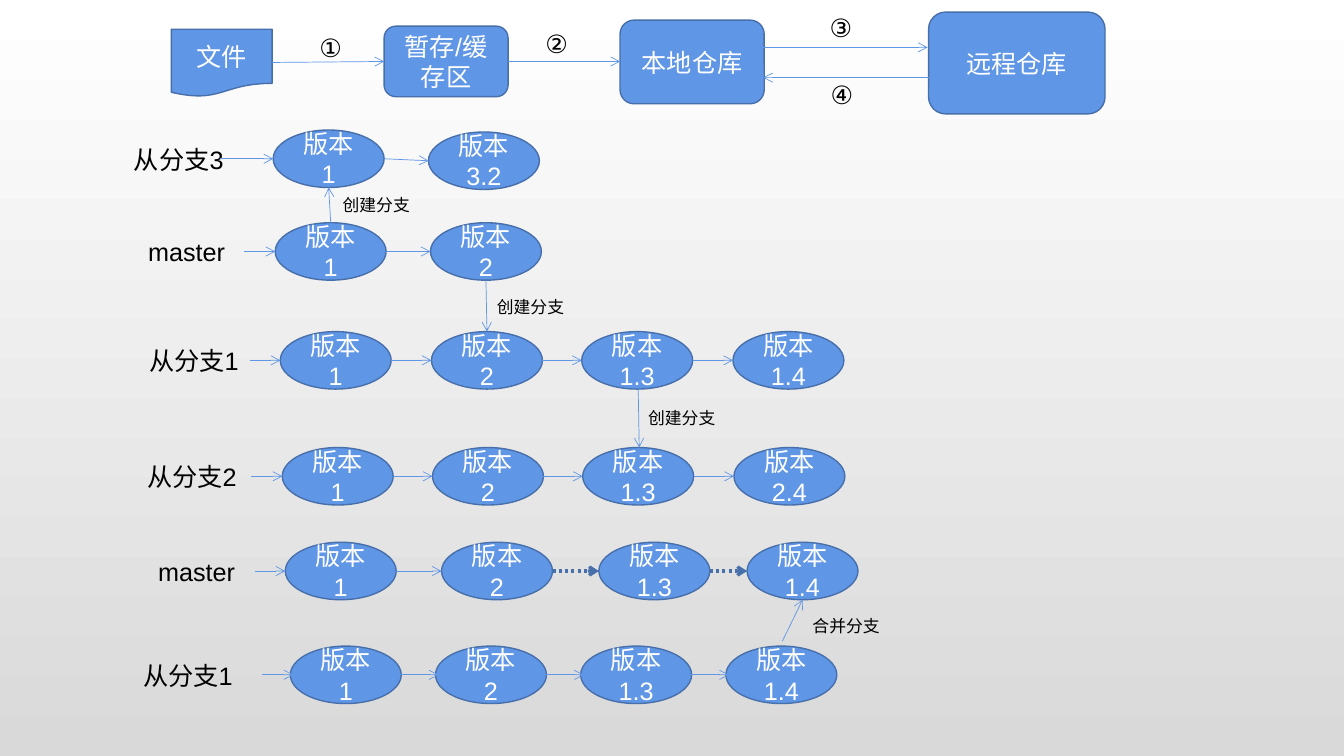
import dataclasses

import lxml.etree
import pptx
import pptx.dml.color
import pptx.enum.dml
import pptx.enum.shapes
import pptx.enum.text
import pptx.oxml.ns
import pptx.util

Inches = pptx.util.Inches
Pt = pptx.util.Pt
Preset = pptx.enum.shapes.MSO_SHAPE
RGBColor = pptx.dml.color.RGBColor

BLUE = RGBColor(0x60, 0x96, 0xE6)
DARK_BLUE = RGBColor(0x47, 0x6F, 0xAA)
WHITE = RGBColor(0xFF, 0xFF, 0xFF)
GREY = RGBColor(0xD9, 0xD9, 0xD9)
BLACK = RGBColor(0, 0, 0)

FONT = "Arial"
VERSION_WIDTH = 1.1
VERSION_HEIGHT = 0.57


@dataclasses.dataclass
class Branch:
    """A labelled chain of versions; step_down lowers each next version."""
    name: str
    label_left: float
    label_width: float
    arrow_start: float
    top: float
    lefts: list
    versions: list
    step_down: float = 0
    overlap: float = 0
    dotted_from: int = 9


BRANCHES = [
    Branch("从分支3", 1.23, 1.33, 2.18, 1.29, [2.71, 4.25], ["1", "3.2"], step_down=0.02),
    Branch("master", 1.37, 1.05, 2.42, 2.21, [2.73, 4.27], ["1", "2"]),
    Branch("从分支1", 1.38, 1.32, 2.48, 3.29, [2.78, 4.28, 5.77, 7.27],
           ["1", "2", "1.3", "1.4"]),
    Branch("从分支2", 1.36, 1.32, 2.49, 4.44, [2.8, 4.29, 5.78, 7.28],
           ["1", "2", "1.3", "2.4"]),
    Branch("master", 1.47, 1.05, 2.53, 5.38, [2.83, 4.38, 5.94, 7.41],
           ["1", "2", "1.3", "1.4"], dotted_from=2),
    Branch("从分支1", 1.32, 1.32, 2.6, 6.41, [2.88, 4.32, 5.76, 7.2],
           ["1", "2", "1.3", "1.4"], overlap=0.03),
]

STORES = [
    (Preset.FLOWCHART_DOCUMENT, 1.7, 0.29, 1, 0.67, "文件"),
    (Preset.ROUNDED_RECTANGLE, 3.81, 0.26, 1.23, 0.7, "暂存/缓存区"),
    (Preset.ROUNDED_RECTANGLE, 6.15, 0.2, 1.43, 0.83, "本地仓库"),
    (Preset.ROUNDED_RECTANGLE, 9.21, 0.12, 1.75, 1.01, "远程仓库"),
]

STORE_ARROWS = [
    (2.7, 0.62, 3.81, 0.61),
    (5.04, 0.61, 6.15, 0.61),
    (7.53, 0.47, 9.2, 0.47),
    (9.21, 0.77, 7.57, 0.77),
]

STEP_NUMBERS = [("①", 3.07, 0.27), ("②", 5.31, 0.23), ("③", 8.13, 0.07), ("④", 8.14, 0.74)]

BRANCH_ARROWS = [
    (3.28, 2.21, 3.26, 1.86),
    (4.82, 2.78, 4.83, 3.29),
    (6.33, 3.86, 6.34, 4.44),
    (7.76, 6.36, 7.96, 5.95),
]

BRANCH_NOTES = [
    ("创建分支", 3.3, 1.88),
    ("创建分支", 4.83, 2.89),
    ("创建分支", 6.33, 4),
    ("合并分支", 7.96, 6.06),
]


def write_text(frame, text, size, color):
    frame.word_wrap = True
    span = frame.paragraphs[0].add_run()
    span.text = text
    span.font.name = FONT
    span.font.size = Pt(size)
    span.font.color.rgb = color


def add_label(page, text, left, top, width, height=0.4, size=18):
    box = page.shapes.add_textbox(Inches(left), Inches(top), Inches(width), Inches(height))
    write_text(box.text_frame, text, size, BLACK)
    box.text_frame.auto_size = pptx.enum.text.MSO_AUTO_SIZE.SHAPE_TO_FIT_TEXT


def add_node(page, preset, left, top, width, height, text):
    node = page.shapes.add_shape(preset, Inches(left), Inches(top), Inches(width), Inches(height))
    node.shadow.inherit = False
    node.fill.solid()
    node.fill.fore_color.rgb = BLUE
    node.line.color.rgb = DARK_BLUE
    node.line.width = Pt(1)
    write_text(node.text_frame, text, 18, WHITE)
    node.text_frame.vertical_anchor = pptx.enum.text.MSO_ANCHOR.MIDDLE
    node.text_frame.paragraphs[0].alignment = pptx.enum.text.PP_ALIGN.CENTER


def add_arrow(page, start_x, start_y, end_x, end_y, dotted=False):
    arrow = page.shapes.add_connector(
        pptx.enum.shapes.MSO_CONNECTOR.STRAIGHT,
        Inches(start_x), Inches(start_y), Inches(end_x), Inches(end_y))
    arrow.line.color.rgb = DARK_BLUE if dotted else BLUE
    arrow.line.width = Pt(2.25 if dotted else 0.5)
    if dotted:
        arrow.line.dash_style = pptx.enum.dml.MSO_LINE.ROUND_DOT
    qn = pptx.oxml.ns.qn
    properties = arrow._element.spPr
    lxml.etree.SubElement(properties.find(qn("a:ln")), qn("a:tailEnd"), type="arrow")
    lxml.etree.SubElement(properties, qn("a:effectLst"))


def add_branch(page, branch):
    add_label(page, branch.name, branch.label_left, branch.top + 0.09, branch.label_width)
    start_x = branch.arrow_start
    start_y = branch.top + VERSION_HEIGHT / 2
    for index, (left, version) in enumerate(zip(branch.lefts, branch.versions)):
        top = branch.top + index * branch.step_down
        middle = top + VERSION_HEIGHT / 2
        add_node(page, Preset.OVAL, left, top, VERSION_WIDTH, VERSION_HEIGHT, "版本" + version)
        add_arrow(page, start_x, start_y, left + branch.overlap, middle,
                  dotted=index >= branch.dotted_from)
        start_x = left + VERSION_WIDTH - branch.overlap
        start_y = middle


def paint_background(page):
    fill = page.background.fill
    fill.gradient()
    fill.gradient_angle = 270
    for stop, position, color in zip(fill.gradient_stops, (0, 1), (WHITE, GREY)):
        stop.position = position
        stop.color.rgb = color


def main():
    deck = pptx.Presentation()
    deck.slide_width = Inches(13.33)
    deck.slide_height = Inches(7.5)
    page = deck.slides.add_slide(deck.slide_layouts[6])
    paint_background(page)
    for store in STORES:
        add_node(page, *store)
    for text, left, top in STEP_NUMBERS:
        add_label(page, text, left, top, 0.37)
    for branch in BRANCHES:
        add_branch(page, branch)
    for ends in STORE_ARROWS + BRANCH_ARROWS:
        add_arrow(page, *ends)
    for text, left, top in BRANCH_NOTES:
        add_label(page, text, left, top, 1.58, height=0.3, size=12)
    deck.save("out.pptx")


if __name__ == "__main__":
    main()
